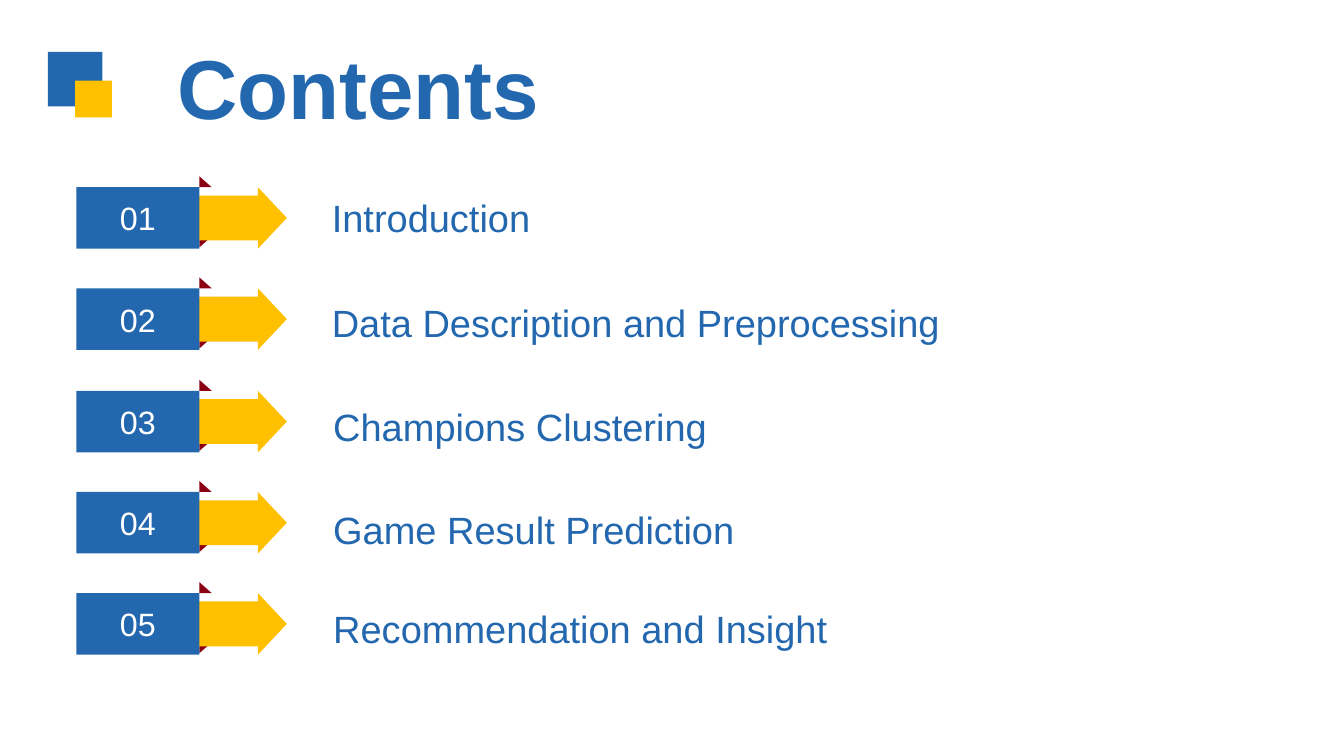
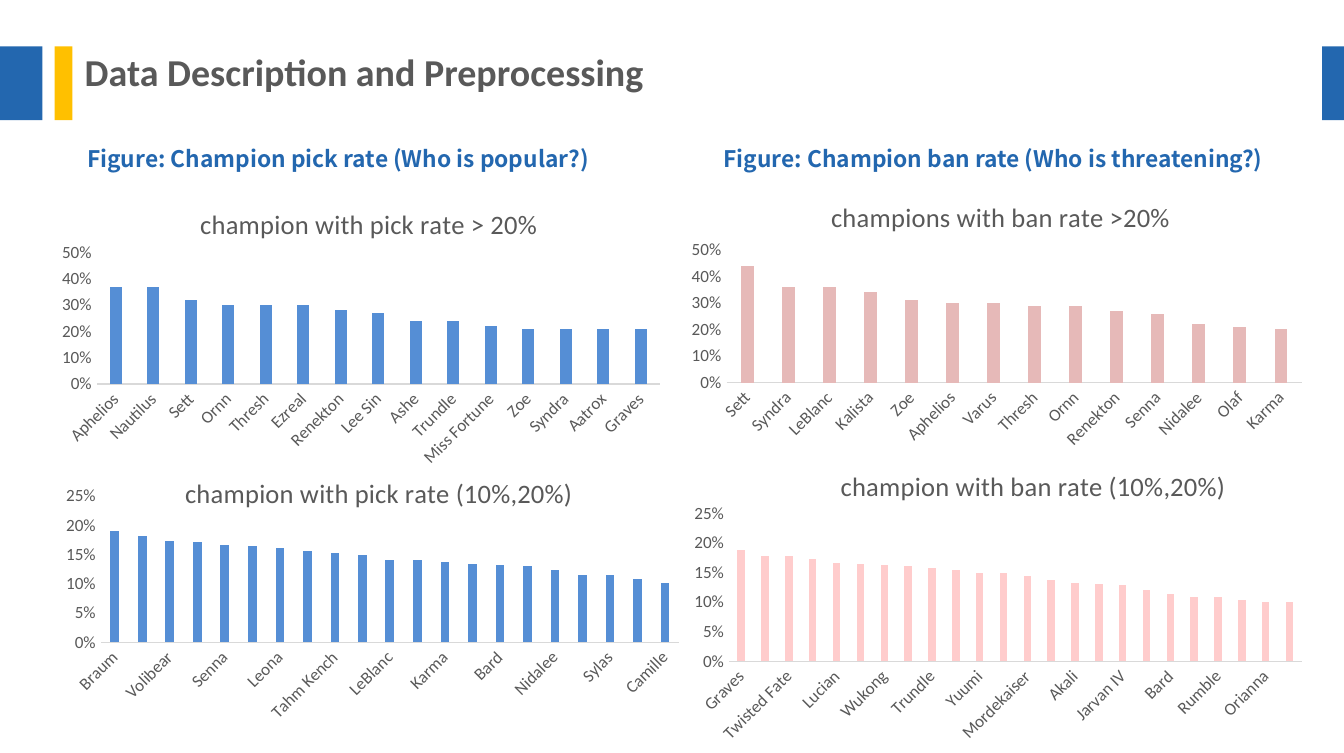
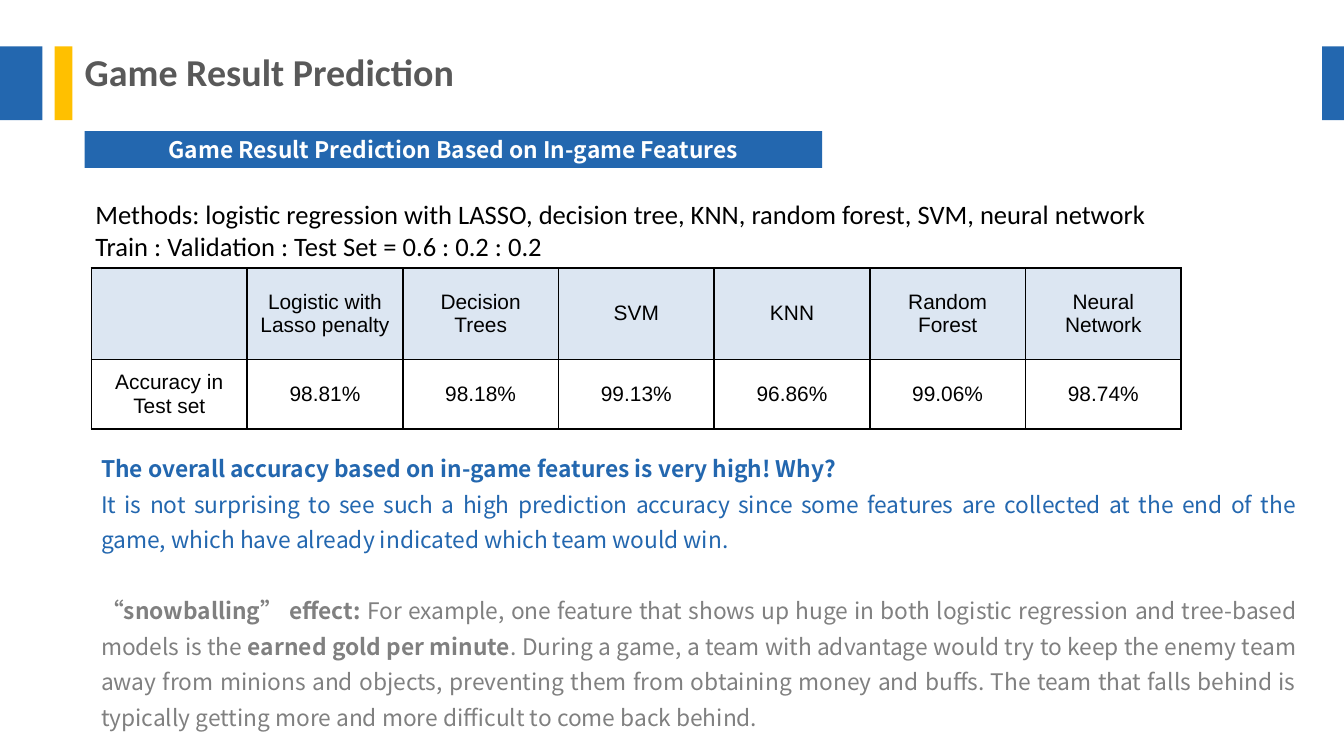
from dataclasses import dataclass

from lxml import etree
from pptx import Presentation
from pptx import util as u
from pptx.chart.data import CategoryChartData
from pptx.dml.color import RGBColor
from pptx.enum import chart as charts, shapes, text
from pptx.oxml import ns

PX = 9144  # EMU in one px, 100 px to the inch
WIDTH, HEIGHT = 984, 551


@dataclass(frozen=True)
class Theme:
    blue: str = "2367AF"
    gold: str = "FFC000"
    fold: str = "8B0012"
    white: str = "FFFFFF"
    black: str = "000000"
    heading: str = "595959"
    muted: str = "808080"
    axis: str = "D9D9D9"
    table_head: str = "DCE6F2"
    pick: str = "558ED5"
    ban_high: str = "E6B9B8"
    ban_low: str = "FFCCCC"
    arial: str = "Arial"
    calibri: str = "Calibri"
    noto: str = "Noto Sans CJK SC"
    cover_size: int = 44
    title_size: int = 20
    badge_size: int = 17
    text_size: int = 14
    note_size: int = 12
    cell_size: int = 11
    axis_size: int = 9


T = Theme()
SHAPE = shapes.MSO_SHAPE
ALIGN = text.PP_ALIGN
MIDDLE = text.MSO_ANCHOR.MIDDLE


@dataclass(frozen=True)
class Style:
    size: int
    font: str
    colour: str
    bold: bool = False
    align: int = ALIGN.LEFT
    spacing: float = 1.0


def rgb(colour):
    return RGBColor.from_string(colour)


def emu(*lengths):
    return [u.Emu(length * PX) for length in lengths]


def set_font(font, size, face, colour, bold=False):
    font.size = u.Pt(size)
    font.name = face
    font.bold = bold
    font.color.rgb = rgb(colour)


def add_run(paragraph, words, style, colour=None, bold=None):
    run = paragraph.add_run()
    run.text = words
    set_font(run.font, style.size, style.font, colour or style.colour,
             style.bold if bold is None else bold)
    east_asian = etree.SubElement(run.font._element, ns.qn("a:ea"))
    east_asian.set("typeface", style.font)


def write(frame, paragraphs, style):
    """Fill a frame; a paragraph is a string or a list of (words, colour, bold)."""
    for i, content in enumerate(paragraphs):
        paragraph = frame.add_paragraph() if i else frame.paragraphs[0]
        paragraph.alignment = style.align
        paragraph.line_spacing = style.spacing
        runs = [(content,)] if isinstance(content, str) else content
        for run in runs:
            add_run(paragraph, run[0], style, *run[1:])


def set_margins(holder, across, down):
    holder.margin_left = holder.margin_right = u.Emu(across * PX)
    holder.margin_top = holder.margin_bottom = u.Emu(down * PX)


def add_block(slide, kind, box, fill):
    block = slide.shapes.add_shape(kind, *emu(*box))
    block.shadow.inherit = False
    block.fill.solid()
    block.fill.fore_color.rgb = rgb(fill)
    block.line.fill.background()
    return block


def add_caption_block(slide, box, words, style):
    frame = add_block(slide, SHAPE.RECTANGLE, box, T.blue).text_frame
    set_margins(frame, 0, 0)
    frame.vertical_anchor = MIDDLE
    write(frame, [words], style)


def add_text(slide, box, paragraphs, style, margins=(0, 0), anchor=MIDDLE):
    frame = slide.shapes.add_textbox(*emu(*box)).text_frame
    frame.word_wrap = True
    frame.vertical_anchor = anchor
    set_margins(frame, *margins)
    write(frame, paragraphs, style)
    return frame


def new_slide(deck):
    return deck.slides.add_slide(deck.slide_layouts[6])


def new_content_slide(deck, title):
    slide = new_slide(deck)
    for left, width, fill in ((0, 31, T.blue), (40, 13, T.gold), (968, 16, T.blue)):
        add_block(slide, SHAPE.RECTANGLE, (left, 34, width, 54), fill)
    add_text(slide, (62, 35, 635, 34), [title],
             Style(T.title_size, T.calibri, T.heading, True))
    return slide


def add_agenda_marker(slide, top, number):
    """Numbered badge with an arrow that folds out from behind it."""
    lower_fold = add_block(slide, SHAPE.RIGHT_TRIANGLE, (146, top + 36, 9, 8), T.fold)
    lower_fold._element.spPr.xfrm.set("flipV", "1")
    add_block(slide, SHAPE.RIGHT_TRIANGLE, (146, top - 8, 9, 8), T.fold)
    arrow = add_block(slide, SHAPE.RIGHT_ARROW, (78, top, 132, 45), T.gold)
    arrow.adjustments[0], arrow.adjustments[1] = 0.73, 0.47
    add_caption_block(slide, (56, top, 90, 45), f"{number:02}",
                      Style(T.badge_size, T.arial, T.white, align=ALIGN.CENTER))


def layout_element(parent, position, target=None):
    """Manual chart layout from fractions of the chart: x, y and maybe w, h."""
    layout = etree.Element(ns.qn("c:layout"))
    manual = etree.SubElement(layout, ns.qn("c:manualLayout"))
    entries = [("layoutTarget", target)] if target else []
    entries += [("xMode", "edge"), ("yMode", "edge")]
    entries += [(key, f"{value:.4f}") for key, value in zip("xywh", position)]
    for tag, value in entries:
        etree.SubElement(manual, ns.qn(f"c:{tag}")).set("val", value)
    for old in parent.findall(ns.qn("c:layout")):
        parent.remove(old)
    return layout


def place_title(chart, position):
    title = chart.chart_title._element
    layout = layout_element(title, position)
    title.find(ns.qn("c:tx")).addnext(layout)


def place_plot(chart, position):
    plot_area = chart._chartSpace.chart.plotArea
    plot_area.insert(0, layout_element(plot_area, position, "inner"))


def style_axis(axis):
    axis.major_tick_mark = axis.minor_tick_mark = charts.XL_TICK_MARK.NONE
    axis.has_major_gridlines = False
    set_font(axis.tick_labels.font, T.axis_size, T.calibri, T.heading)


def add_rate_chart(slide, box, title, title_at, plot_box, rates, top_rate, step, colour):
    """Column chart; title_at and plot_box are in px of the slide."""
    data = CategoryChartData(number_format="0%")
    data.categories = list(rates)
    data.add_series("Series 1", list(rates.values()))
    chart = slide.shapes.add_chart(charts.XL_CHART_TYPE.COLUMN_CLUSTERED,
                                   *emu(*box), data).chart
    chart.has_legend = False
    set_font(chart.font, T.axis_size, T.calibri, T.heading)

    left, top, width, height = box
    chart.has_title = True
    write(chart.chart_title.text_frame, [title],
          Style(T.text_size, T.calibri, T.heading))
    place_title(chart, ((title_at[0] - left) / width, (title_at[1] - top) / height))
    place_plot(chart, ((plot_box[0] - left) / width, (plot_box[1] - top) / height,
                       plot_box[2] / width, plot_box[3] / height))

    plot = chart.plots[0]
    plot.vary_by_categories = False
    plot.gap_width, plot.overlap = 219, -27
    bars = plot.series[0].format.fill
    bars.solid()
    bars.fore_color.rgb = rgb(colour)

    names, values = chart.category_axis, chart.value_axis
    style_axis(names)
    names.format.line.color.rgb = rgb(T.axis)
    names.format.line.width = u.Pt(0.75)
    names.tick_labels.font._element.getparent().getparent().getparent().find(
        ns.qn("a:bodyPr")).set("rot", "-2700000")
    style_axis(values)
    values.format.line.fill.background()
    values.minimum_scale, values.maximum_scale, values.major_unit = 0, top_rate, step
    values.tick_labels.number_format = "0%"
    values.tick_labels.number_format_is_linked = False


def set_borders(cell):
    properties = cell._tc.get_or_add_tcPr()
    for i, side in enumerate(("lnL", "lnR", "lnT", "lnB")):
        line = etree.Element(ns.qn(f"a:{side}"), w=str(u.Pt(1)))
        fill = etree.SubElement(line, ns.qn("a:solidFill"))
        etree.SubElement(fill, ns.qn("a:srgbClr")).set("val", T.black)
        properties.insert(i, line)


def add_accuracy_table(slide, left, top, column_width, row_heights, rows):
    table = slide.shapes.add_table(
        len(rows), len(rows[0]),
        *emu(left, top, column_width * len(rows[0]), sum(row_heights))).table
    for column in table.columns:
        column.width = u.Emu(column_width * PX)
    style = Style(T.cell_size, T.arial, T.black, align=ALIGN.CENTER)
    for r, (row, height) in enumerate(zip(rows, row_heights)):
        table.rows[r].height = u.Emu(height * PX)
        for c, words in enumerate(row):
            cell = table.cell(r, c)
            cell.fill.solid()
            cell.fill.fore_color.rgb = rgb(T.white if r else T.table_head)
            cell.vertical_anchor = MIDDLE
            set_margins(cell, 7, 7)
            set_borders(cell)
            if words:
                write(cell.text_frame, words.split("\n"), style)


def build_contents(deck):
    slide = new_slide(deck)
    add_block(slide, SHAPE.RECTANGLE, (35, 38, 40, 40), T.blue)
    add_block(slide, SHAPE.RECTANGLE, (55, 59, 27, 27), T.gold)
    add_text(slide, (130, 26, 289, 74), ["Contents"],
             Style(T.cover_size, T.arial, T.blue, True))
    topics = (("Introduction", 243, 142),
              ("Data Description and Preprocessing", 243, 219),
              ("Champions Clustering", 244, 295),
              ("Game Result Prediction", 244, 370),
              ("Recommendation and Insight", 244, 443))
    for i, (topic, left, top) in enumerate(topics):
        add_agenda_marker(slide, round(137 + 74.25 * i), i + 1)
        add_text(slide, (left, top, 700, 34), [topic],
                 Style(T.title_size, T.arial, T.blue))


PICK_HIGH = {
    "Aphelios": 0.37, "Nautilus": 0.37, "Sett": 0.32, "Ornn": 0.3, "Thresh": 0.3,
    "Ezreal": 0.3, "Renekton": 0.28, "Lee Sin": 0.27, "Ashe": 0.24, "Trundle": 0.24,
    "Miss Fortune": 0.22, "Zoe": 0.21, "Syndra": 0.21, "Aatrox": 0.21, "Graves": 0.21}
PICK_LOW = {
    "Braum": 0.191, "Azir": 0.181, "Volibear": 0.173, "Varus": 0.172, "Senna": 0.166,
    "Kalista": 0.165, "Leona": 0.162, "Jarvan IV": 0.156, "Tahm Kench": 0.152,
    "Orianna": 0.15, "LeBlanc": 0.141, "Mordekaiser": 0.14, "Karma": 0.137,
    "Olaf": 0.134, "Bard": 0.133, "Wukong": 0.13, "Nidalee": 0.123, "Galio": 0.115,
    "Sylas": 0.115, "Rek'Sai": 0.108, "Camille": 0.102}
BAN_HIGH = {
    "Sett": 0.44, "Syndra": 0.36, "LeBlanc": 0.36, "Kalista": 0.34, "Zoe": 0.31,
    "Aphelios": 0.3, "Varus": 0.3, "Thresh": 0.29, "Ornn": 0.29, "Renekton": 0.27,
    "Senna": 0.26, "Nidalee": 0.22, "Olaf": 0.21, "Karma": 0.2}
BAN_LOW = {
    "Graves": 0.189, "Pantheon": 0.178, "Twisted Fate": 0.178, "Elise": 0.174,
    "Lucian": 0.167, "Azir": 0.165, "Wukong": 0.163, "Volibear": 0.161,
    "Trundle": 0.158, "Nautilus": 0.154, "Yuumi": 0.15, "Lee Sin": 0.149,
    "Mordekaiser": 0.145, "Ezreal": 0.137, "Akali": 0.133, "Caitlyn": 0.131,
    "Jarvan IV": 0.129, "Galio": 0.121, "Bard": 0.114, "Camille": 0.109,
    "Rumble": 0.109, "Gangplank": 0.104, "Orianna": 0.1, "Tahm Kench": 0.1}


def build_data_description(deck):
    slide = new_content_slide(deck, "Data Description and Preprocessing")
    caption = Style(T.note_size, T.noto, T.blue, True, spacing=1.5)
    for left, words in ((54, "Figure: Champion pick rate (Who is popular?)"),
                        (520, "Figure: Champion ban rate (Who is threatening?)")):
        add_text(slide, (left, 91, 459, 40), [words], caption, (10, 5),
                 text.MSO_ANCHOR.TOP)
    add_rate_chart(slide, (37, 128, 456, 218), "champion with pick rate > 20%",
                   (143, 147), (71, 185, 412, 96), PICK_HIGH, 0.5, 0.1, T.pick)
    add_rate_chart(slide, (31, 314, 481, 237), "champion with pick rate (10%,20%)",
                   (132, 344), (74, 363, 423, 107), PICK_LOW, 0.25, 0.05, T.pick)
    add_rate_chart(slide, (497, 128, 465, 205), "champions with ban rate >20%",
                   (605, 142), (532, 183, 421, 97), BAN_HIGH, 0.5, 0.1, T.ban_high)
    add_rate_chart(slide, (499, 318, 463, 231), "champion with ban rate (10%,20%)",
                   (612, 339), (534, 376, 419, 108), BAN_LOW, 0.25, 0.05, T.ban_low)


def build_prediction(deck):
    slide = new_content_slide(deck, "Game Result Prediction")
    add_caption_block(slide, (62, 96, 540, 27),
                      "Game Result Prediction Based on In-game Features",
                      Style(T.note_size, T.noto, T.white, True, ALIGN.CENTER))
    findings = [
        [("The overall accuracy based on in-game features is very high! Why?", T.blue, True)],
        [("It is not surprising to see such a high prediction accuracy since some "
          "features are collected at the end of the game, which have already indicated "
          "which team would win.", T.blue)],
        [("“snowballing” effect: ", T.muted, True),
         ("For example, one feature that shows up huge in both logistic regression and "
          "tree-based models is the ",),
         ("earned gold per minute", T.muted, True),
         (". During a game, a team with advantage would try to keep the enemy team away "
          "from minions and objects, preventing them from obtaining money and buffs. The "
          "team that falls behind is typically getting more and more difficult to come "
          "back behind.",)]]
    frame = add_text(slide, (67, 323, 890, 217), findings,
                     Style(T.note_size, T.noto, T.muted, align=ALIGN.JUSTIFY, spacing=1.3),
                     (7, 4), text.MSO_ANCHOR.TOP)
    frame.paragraphs[-1].space_before = u.Pt(18.7)
    add_text(slide, (60, 140, 800, 57),
             ["Methods: logistic regression with LASSO, decision tree, KNN, random forest, "
              "SVM, neural network",
              "Train : Validation : Test Set = 0.6 : 0.2 : 0.2"],
             Style(T.text_size, T.calibri, T.black), (10, 5), text.MSO_ANCHOR.TOP)
    add_accuracy_table(slide, 67, 196, 114, (67, 51), (
        ("", "Logistic with\nLasso penalty", "Decision Trees", "SVM", "KNN",
         "Random Forest", "Neural Network"),
        ("Accuracy in\nTest set", "98.81%", "98.18%", "99.13%", "96.86%", "99.06%",
         "98.74%")))


def main():
    deck = Presentation()
    deck.slide_width, deck.slide_height = emu(WIDTH, HEIGHT)
    build_contents(deck)
    build_data_description(deck)
    build_prediction(deck)
    deck.save("out.pptx")


if __name__ == "__main__":
    main()
